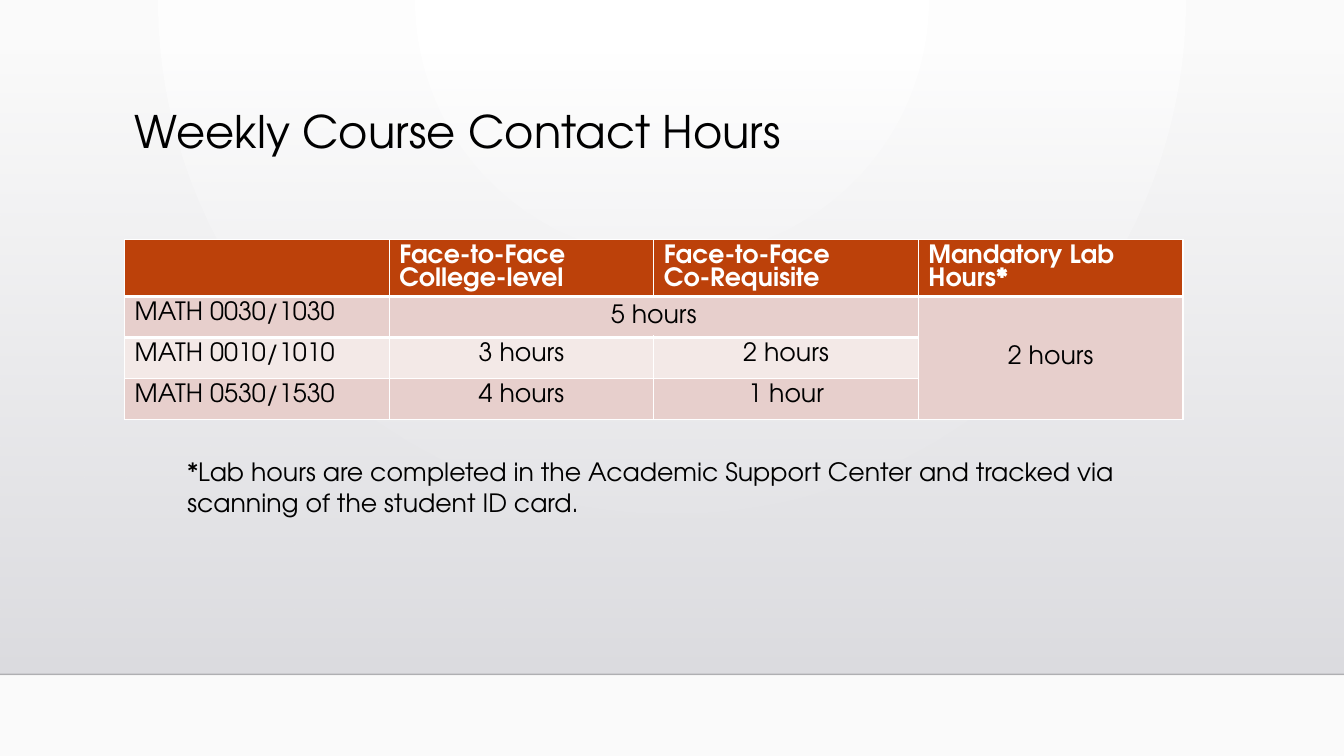
import pptx
import pptx.util
import pptx.oxml
import pptx.oxml.ns
import pptx.dml.color
import pptx.enum.shapes
import pptx.enum.text

Pt = pptx.util.Pt
ALIGN = pptx.enum.text.PP_ALIGN
ANCHOR = pptx.enum.text.MSO_ANCHOR
FONT = "TeX Gyre Adventor"
NS = pptx.oxml.ns.nsdecls("a")
RGB = ".//" + pptx.oxml.ns.qn("a:srgbClr")


def tint(color, code):
    """Set a colour from a hex string."""
    color.rgb = pptx.dml.color.RGBColor.from_string(code)


def write(frame, lines, size=18, code="000000", bold=False, align=ALIGN.LEFT, pitch=None):
    """Fill a text frame with one paragraph per line."""
    frame.word_wrap = True
    for i, line in enumerate(lines):
        para = frame.add_paragraph() if i else frame.paragraphs[0]
        para.alignment = align
        para.line_spacing = pitch
        run = para.add_run()
        run.text = line
        run.font.name = FONT
        run.font.size = Pt(size)
        run.font.bold = bold
        tint(run.font.color, code)


deck = pptx.Presentation()
deck.slide_width = Pt(960)
deck.slide_height = Pt(540)
slide = deck.slides.add_slide(deck.slide_layouts[5])
shapes = slide.shapes

# Background: a white glow from the top centre
back = slide.background.fill
back.gradient()
for stop, code in zip(back.gradient_stops, ("FFFFFF", "FAFAFA")):
    tint(stop.color, code)
lin = slide.element.find(".//" + pptx.oxml.ns.qn("a:lin"))
glow = pptx.oxml.parse_xml(
    f'<a:path {NS} path="circle">'
    '<a:fillToRect l="43000" t="0" r="43000" b="100000"/></a:path>')
lin.getparent().replace(lin, glow)

# Grey wall fading in downwards, and the floor line
wall = shapes.add_shape(
    pptx.enum.shapes.MSO_SHAPE.RECTANGLE, Pt(0), Pt(36.7), Pt(960), Pt(445))
wall.shadow.inherit = False
wall.line.fill.background()
wall.fill.gradient()
wall.fill.gradient_angle = 270
for stop, code in zip(wall.fill.gradient_stops, ("DCDCE0", "DEDEE2")):
    tint(stop.color, code)

floor = shapes.add_connector(
    pptx.enum.shapes.MSO_CONNECTOR.STRAIGHT, Pt(0), Pt(481.7), Pt(960), Pt(481.7))
floor.line.width = Pt(1)
tint(floor.line.color, "000001")
floor.element.spPr.append(pptx.oxml.parse_xml(f"<a:effectLst {NS}/>"))

for shape, alpha in ((wall, 0), (floor, 20000)):
    shape.element.find(RGB).append(pptx.oxml.parse_xml(f'<a:alpha {NS} val="{alpha}"/>'))

# Title, brought in front of the wall
title = shapes.title
title.element.getparent().append(title.element)
title.left, title.top, title.width, title.height = Pt(89), Pt(75), Pt(756), Pt(82.8)
title.text_frame.auto_size = pptx.enum.text.MSO_AUTO_SIZE.NONE
title.text_frame.vertical_anchor = ANCHOR.TOP
write(title.text_frame, ["Weekly Course Contact Hours"], size=32, pitch=0.9)

# Table of hours
rows = [
    ["", "Face-to-Face\nCollege-level", "Face-to-Face\nCo-Requisite", "Mandatory Lab Hours*"],
    ["MATH 0030/1030", "5 hours", "", "2 hours"],
    ["MATH 0010/1010", "3 hours", "2 hours", ""],
    ["MATH 0530/1530", "4 hours", "1 hour", ""],
]
fills = ["BC410A", "E7CFCC", "F3E9E7", "E7CFCC"]
highs = [40.7, 29.3, 29.3, 29.3]
grid = shapes.add_table(4, 4, Pt(89), Pt(171), Pt(756), Pt(sum(highs))).table
for col in grid.columns:
    col.width = Pt(189)
for r, row in enumerate(rows):
    grid.rows[r].height = Pt(highs[r])
    for c, text in enumerate(row):
        cell = grid.cell(r, c)
        cell.fill.solid()
        tint(cell.fill.fore_color, fills[r])
        if text:
            write(cell.text_frame, text.split("\n"),
                  code="000000" if r else "FFFFFF", bold=r == 0,
                  align=ALIGN.CENTER if r and c else ALIGN.LEFT)
        if r < 2:
            # Thick white rule shared by the header and the row below it
            side = "lnT" if r else "lnB"
            cell.fill.fore_color  # fill is present, so the rule goes before it
            rule = pptx.oxml.parse_xml(
                f'<a:{side} {NS} w="{Pt(3)}"><a:solidFill><a:srgbClr val="FFFFFF"/>'
                f'</a:solidFill></a:{side}>')
            cell._tc.get_or_add_tcPr().insert(0, rule)
for first, last in (((1, 1), (1, 2)), ((1, 3), (3, 3))):
    cell = grid.cell(*first)
    cell.merge(grid.cell(*last))
    cell.vertical_anchor = ANCHOR.MIDDLE

# Footnote
note = shapes.add_textbox(Pt(126.7), Pt(322.6), Pt(680.4), Pt(51))
write(note.text_frame, [
    "*Lab hours are completed in the Academic Support Center and tracked via "
    "scanning of the student ID card."])

deck.save("out.pptx")
